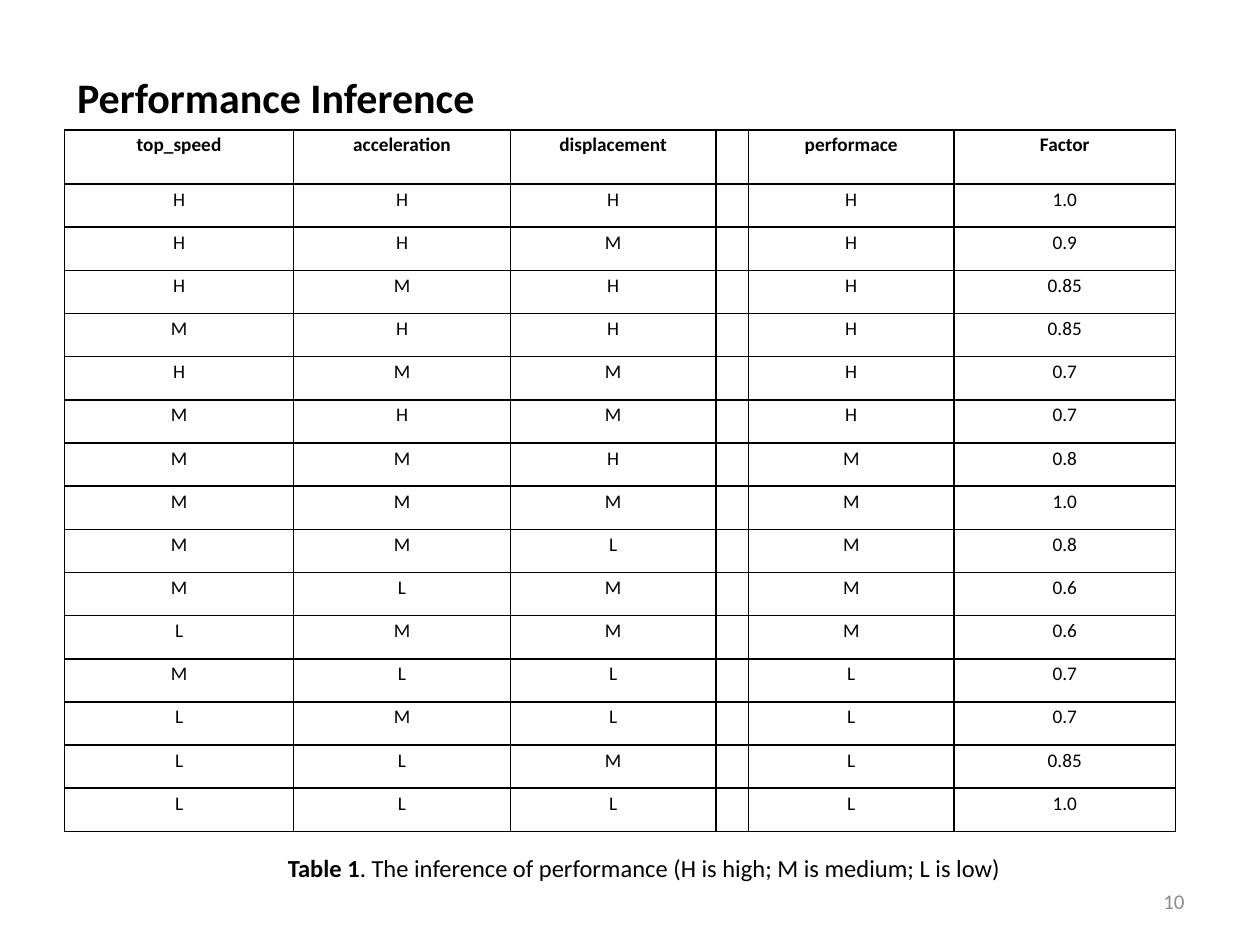
from lxml.etree import SubElement
from pptx import Presentation
from pptx.dml.color import RGBColor
from pptx.enum.text import MSO_ANCHOR, MSO_AUTO_SIZE, PP_ALIGN
from pptx.oxml.ns import qn
from pptx.util import Cm, Pt

HEADERS = ["top_speed", "acceleration", "displacement", "", "performace", "Factor"]
RULES = [
    ("HHH", "H", "1.0"), ("HHM", "H", "0.9"), ("HMH", "H", "0.85"),
    ("MHH", "H", "0.85"), ("HMM", "H", "0.7"), ("MHM", "H", "0.7"),
    ("MMH", "M", "0.8"), ("MMM", "M", "1.0"), ("MML", "M", "0.8"),
    ("MLM", "M", "0.6"), ("LMM", "M", "0.6"), ("MLL", "L", "0.7"),
    ("LML", "L", "0.7"), ("LLM", "L", "0.85"), ("LLL", "L", "1.0"),
]
COLUMN_WIDTHS = [4.62, 4.37, 4.14, 0.66, 4.14, 4.47]
HEADER_HEIGHT, ROW_HEIGHT = 1.09, 0.87


def color(value):
    """Return the colour for a hex string."""
    return RGBColor.from_string(value)


class SlideBuilder:
    """Hold the style and the current slide."""

    font_name = "Calibri"
    text_color = "000000"
    border_color = "000000"

    def __init__(self, slide):
        """Remember the slide to build on."""
        self.slide = slide

    def add_run(self, paragraph, text, size, bold=False, fill=None):
        """Append one formatted run."""
        run = paragraph.add_run()
        run.text = text
        run.font.name = self.font_name
        run.font.size = Pt(size)
        run.font.bold = bold
        run.font.color.rgb = color(fill or self.text_color)

    def set_title(self, text, left, top, width, height):
        """Move, format and fill the title placeholder."""
        title = self.slide.shapes.title
        title.left, title.top, title.width, title.height = map(Cm, (left, top, width, height))
        frame = title.text_frame
        frame.auto_size = MSO_AUTO_SIZE.NONE
        frame.vertical_anchor = MSO_ANCHOR.TOP
        paragraph = frame.paragraphs[0]
        paragraph.alignment = PP_ALIGN.LEFT
        self.add_run(paragraph, text, 24, bold=True)

    def add_text(self, runs, left, top, width, height, size, alignment, fill=None, wrap=True):
        """Add a text box made of (text, bold) runs."""
        box = self.slide.shapes.add_textbox(*map(Cm, (left, top, width, height)))
        frame = box.text_frame
        frame.word_wrap = wrap
        frame.vertical_anchor = MSO_ANCHOR.MIDDLE
        paragraph = frame.paragraphs[0]
        paragraph.alignment = alignment
        for text, bold in runs:
            self.add_run(paragraph, text, size, bold, fill)

    def add_borders(self, cell):
        """Draw a one-point line on every side of a cell."""
        properties = cell._tc.get_or_add_tcPr()
        for side in ("a:lnL", "a:lnR", "a:lnT", "a:lnB"):
            line = SubElement(properties, qn(side), w=str(Pt(1)))
            solid = SubElement(line, qn("a:solidFill"))
            SubElement(solid, qn("a:srgbClr"), val=self.border_color)

    def fill_cell(self, cell, text, bold):
        """Format one table cell and write its text."""
        self.add_borders(cell)
        cell.fill.background()
        cell.margin_left = cell.margin_right = Cm(0.18)
        cell.margin_top = cell.margin_bottom = 0
        if text:
            paragraph = cell.text_frame.paragraphs[0]
            paragraph.alignment = PP_ALIGN.CENTER
            paragraph.line_spacing = 1.15
            self.add_run(paragraph, text, 11, bold)

    def add_table(self, rows, left, top, widths, heights):
        """Add a bordered table whose first row is bold."""
        frame = self.slide.shapes.add_table(
            len(rows), len(widths), Cm(left), Cm(top), Cm(sum(widths)), Cm(sum(heights)))
        table = frame.table
        table.first_row = table.horz_banding = False
        for column, width in zip(table.columns, widths):
            column.width = Cm(width)
        for index, (row, height, texts) in enumerate(zip(table.rows, heights, rows)):
            row.height = Cm(height)
            for cell, text in zip(row.cells, texts):
                self.fill_cell(cell, text, bold=index == 0)


def main():
    """Build and save the presentation."""
    presentation = Presentation()
    presentation.slide_width, presentation.slide_height = Cm(25.4), Cm(19.05)
    builder = SlideBuilder(presentation.slides.add_slide(presentation.slide_layouts[5]))
    builder.set_title("Performance Inference", 1.3, 1.32, 17, 1.27)
    rows = [HEADERS] + [[*levels, "", result, factor] for levels, result, factor in RULES]
    heights = [HEADER_HEIGHT] + [ROW_HEIGHT] * len(RULES)
    builder.add_table(rows, 1.3, 2.62, COLUMN_WIDTHS, heights)
    caption = [("Table 1", True),
               (". The inference of performance (H is high; M is medium; L is low)", False)]
    builder.add_text(caption, 5.51, 17.07, 14.96, 0.86, 14, PP_ALIGN.CENTER, wrap=False)
    builder.add_text([("10", False)], 18.2, 17.65, 5.93, 1.02, 12, PP_ALIGN.RIGHT, fill="8C8C8C")
    presentation.save("out.pptx")


if __name__ == "__main__":
    main()
